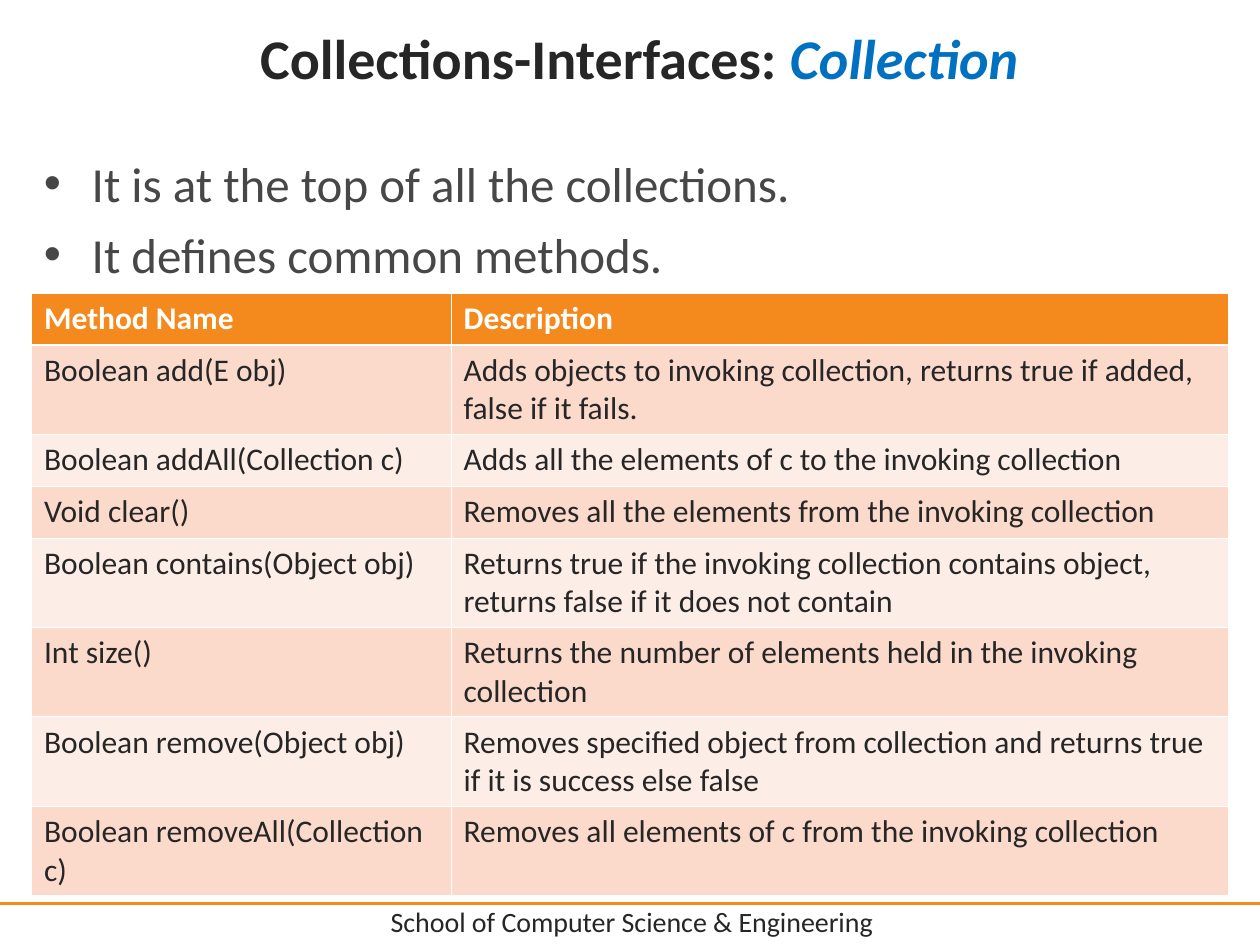
from dataclasses import dataclass

from lxml import etree
from pptx import Presentation
from pptx.dml.color import RGBColor
from pptx.enum import shapes, text
from pptx.oxml import ns
from pptx.util import Inches, Pt


@dataclass(frozen=True)
class Theme:
    font: str = "Calibri"
    ink: str = "262626"
    body: str = "474747"
    accent: str = "F4891E"
    highlight: str = "0070C0"
    white: str = "FFFFFF"
    bands: tuple = ("FBDACC", "FDEDE7")
    title_size: int = 32
    bullet_size: int = 28
    table_size: int = 18
    footer_size: int = 16
    thin: float = 0.45
    thick: float = 1.47


THEME = Theme()
TITLE = ("Collections-Interfaces: ", "Collection")
BULLETS = (
    "It is at the top of all the collections.",
    "It defines common methods.",
)
METHODS = (
    ("Method Name", "Description"),
    ("Boolean add(E obj)",
     "Adds objects to invoking collection, returns true if added, false if it fails."),
    ("Boolean addAll(Collection c)",
     "Adds all the elements of c to the invoking collection"),
    ("Void clear()", "Removes all the elements from the invoking collection"),
    ("Boolean contains(Object obj)",
     "Returns true if the invoking collection contains object, returns false if it does not contain"),
    ("Int size()", "Returns the number of elements held in the invoking collection"),
    ("Boolean remove(Object obj)",
     "Removes specified object from collection and returns true if it is success else false"),
    ("Boolean removeAll(Collection c)",
     "Removes all elements of c from the invoking collection"),
)
FOOTER = "School of Computer Science & Engineering"
COLUMN_WIDTHS = (3.33, 6.17)
ONE_LINE, TWO_LINES = 0.41, 0.71
ONE_LINE_ROWS = {0, 2, 3}


def style(run, size, color, bold=False, italic=False):
    font = run.font
    font.name, font.size = THEME.font, Pt(size)
    font.bold, font.italic = bold, italic
    font.color.rgb = RGBColor.from_string(color)


def add_frame(slide, left, top, width, height, anchor):
    box = slide.shapes.add_textbox(*map(Inches, (left, top, width, height)))
    frame = box.text_frame
    frame.word_wrap = True
    frame.vertical_anchor = anchor
    return frame


def add_footer(slide):
    rule = slide.shapes.add_connector(
        shapes.MSO_CONNECTOR.STRAIGHT,
        Inches(-0.08), Inches(7.17), Inches(10.08), Inches(7.17))
    rule.line.color.rgb = RGBColor.from_string(THEME.accent)
    rule.line.width = Pt(2)
    etree.SubElement(rule._element.spPr, ns.qn("a:effectLst"))

    school = add_frame(slide, 0.42, 7.13, 9.19, 0.37, text.MSO_ANCHOR.MIDDLE).paragraphs[0]
    school.text = FOOTER
    school.alignment = text.PP_ALIGN.CENTER
    style(school.runs[0], THEME.footer_size, THEME.ink)


def add_title(slide):
    heading = add_frame(slide, 0.48, 0.08, 9.19, 0.75, text.MSO_ANCHOR.MIDDLE).paragraphs[0]
    heading.alignment = text.PP_ALIGN.CENTER
    topic, interface = heading.add_run(), heading.add_run()
    topic.text, interface.text = TITLE
    style(topic, THEME.title_size, THEME.ink, bold=True)
    style(interface, THEME.title_size, THEME.highlight, bold=True, italic=True)


def add_bullets(slide):
    frame = add_frame(slide, 0.25, 1.17, 9.5, 5.83, text.MSO_ANCHOR.TOP)
    frame.text = "\n".join(BULLETS)
    for index, point in enumerate(frame.paragraphs):
        props = point._p.get_or_add_pPr()
        props.set("marL", str(Inches(0.38)))
        props.set("indent", str(Inches(-0.38)))
        etree.SubElement(props, ns.qn("a:buFont"), typeface="Arial")
        etree.SubElement(props, ns.qn("a:buChar"), char="•")
        if index:
            point.space_before = Pt(7)
        style(point.runs[0], THEME.bullet_size, THEME.body)


def add_borders(cell, top, bottom):
    """Draw white cell borders; call before filling, as fill follows them in the XML."""
    props = cell._tc.get_or_add_tcPr()
    for side, width in (("L", THEME.thin), ("R", THEME.thin), ("T", top), ("B", bottom)):
        edge = etree.SubElement(props, ns.qn(f"a:ln{side}"), w=str(Pt(width)))
        fill = etree.SubElement(edge, ns.qn("a:solidFill"))
        etree.SubElement(fill, ns.qn("a:srgbClr"), val=THEME.white)


def add_methods(slide):
    heights = [ONE_LINE if row in ONE_LINE_ROWS else TWO_LINES for row in range(len(METHODS))]
    table = slide.shapes.add_table(
        len(METHODS), len(COLUMN_WIDTHS), Inches(0.25), Inches(2.33),
        Inches(sum(COLUMN_WIDTHS)), Inches(sum(heights))).table
    for column, width in zip(table.columns, COLUMN_WIDTHS):
        column.width = Inches(width)
    for index, (row, height, entries) in enumerate(zip(table.rows, heights, METHODS)):
        row.height = Inches(height)
        header = index == 0
        shade = THEME.accent if header else THEME.bands[(index - 1) % 2]
        for cell, entry in zip(row.cells, entries):
            add_borders(cell,
                        top=THEME.thick if index == 1 else THEME.thin,
                        bottom=THEME.thick if header else THEME.thin)
            cell.fill.solid()
            cell.fill.fore_color.rgb = RGBColor.from_string(shade)
            cell.text_frame.text = entry
            style(cell.text_frame.paragraphs[0].runs[0], THEME.table_size,
                  THEME.white if header else THEME.ink, bold=header)


def main():
    deck = Presentation()
    deck.slide_width, deck.slide_height = Inches(10), Inches(7.5)
    slide = deck.slides.add_slide(deck.slide_layouts[6])
    for add_part in (add_footer, add_title, add_bullets, add_methods):
        add_part(slide)
    deck.save("out.pptx")


if __name__ == "__main__":
    main()
